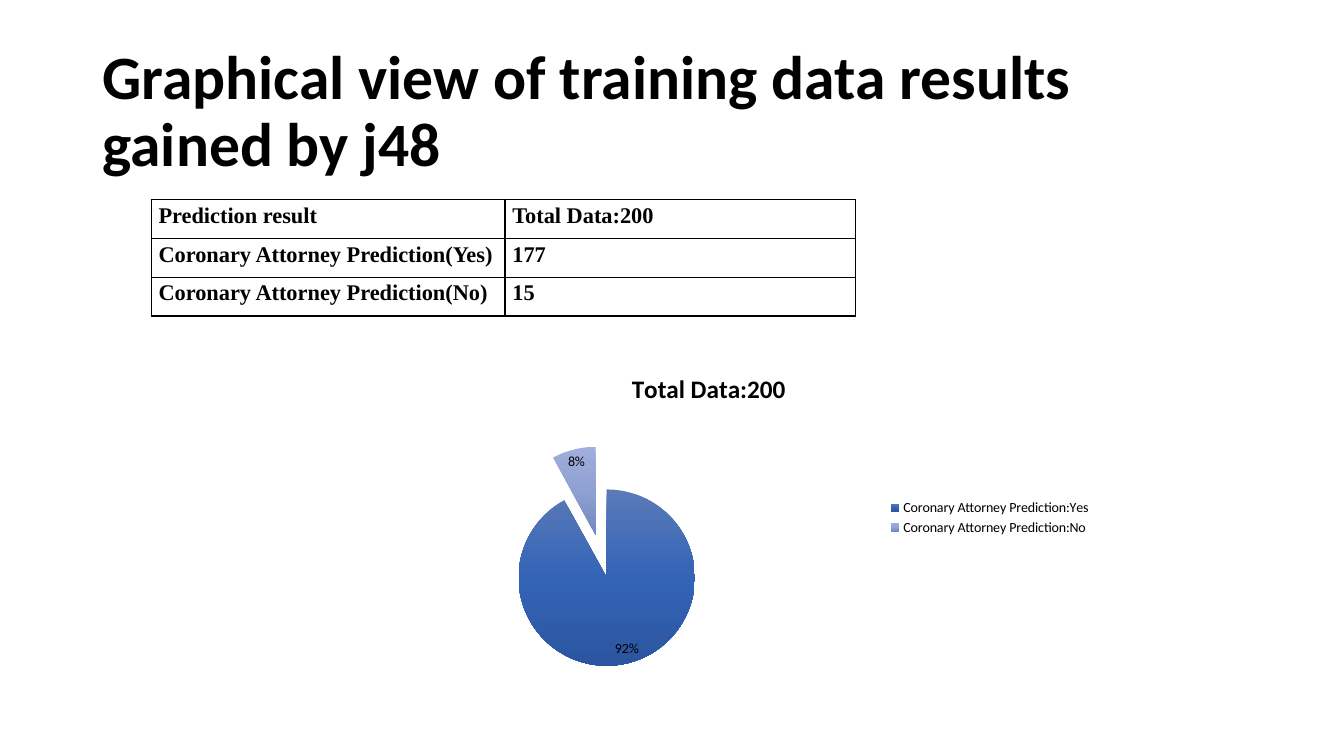
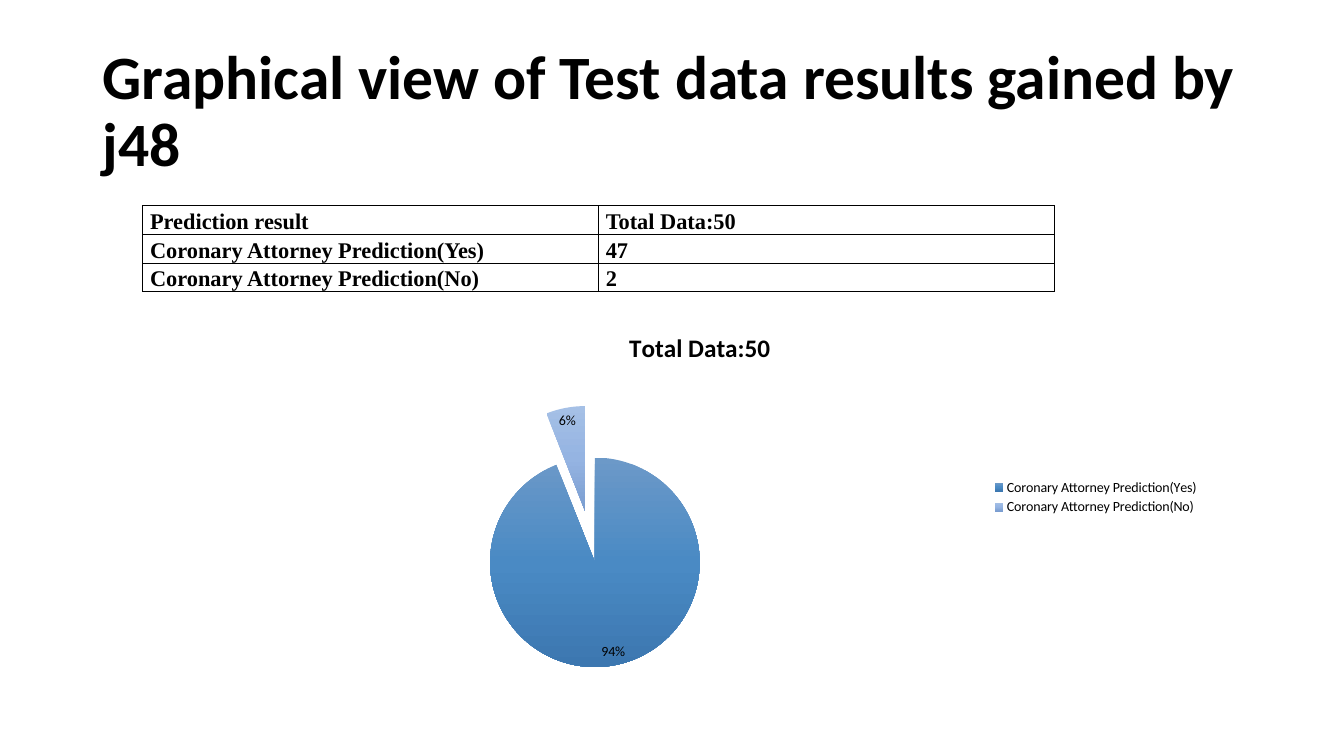
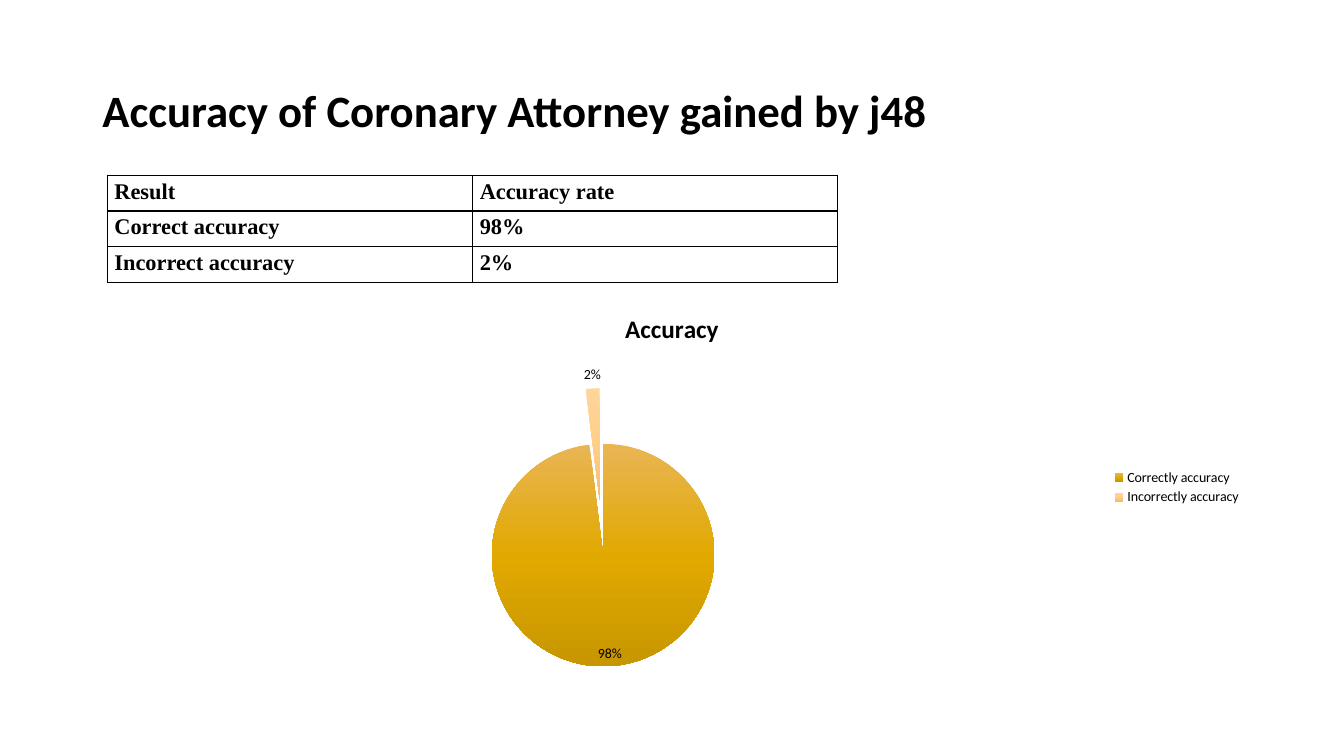
from copy import deepcopy as clone
from dataclasses import dataclass
from typing import Optional

from lxml.etree import SubElement as Sub
from pptx import Presentation as Deck
from pptx.chart.data import CategoryChartData as Data
from pptx.dml.color import RGBColor as Rgb
from pptx.enum.chart import XL_CHART_TYPE as Kind
from pptx.enum.chart import XL_LABEL_POSITION as Spot
from pptx.enum.chart import XL_LEGEND_POSITION as Side
from pptx.enum.text import MSO_ANCHOR as Anchor
from pptx.enum.text import MSO_AUTO_SIZE as Fit
from pptx.enum.text import PP_ALIGN as Align
from pptx.oxml.ns import qn
from pptx.util import Emu, Pt

SCALE = 9525


@dataclass(frozen=True)
class Theme:
    ink: str = "000000"
    sans: str = "Calibri"
    serif: str = "Times New Roman"
    head: int = 44
    small: int = 32
    cell: int = 16
    name: int = 18
    note: int = 10
    edge: int = 1
    burst: int = 25


@dataclass(frozen=True)
class Box:
    left: int
    top: int
    width: int
    height: int


@dataclass(frozen=True)
class Grid:
    left: int
    top: int
    cols: tuple[int, int]
    row: int
    cells: tuple[tuple[str, str], ...]


@dataclass(frozen=True)
class Slice:
    label: str
    value: int
    shades: tuple[str, str, str]


@dataclass(frozen=True)
class Pie:
    box: Box
    title: str
    cuts: tuple[Slice, ...]


@dataclass(frozen=True)
class Page:
    title: str
    size: int
    grid: Grid
    pie: Pie


THEME = Theme()
HEAD = Box(88, 38, 1104, 139)
YES, NO = "Coronary Attorney Prediction(Yes)", "Coronary Attorney Prediction(No)"

PAGES = (
    Page(
        "Graphical view of training data results gained by j48",
        THEME.head,
        Grid(144, 190, (337, 334), 37,
             (("Prediction result", "Total Data:200"), (YES, "177"), (NO, "15"))),
        Pie(Box(301, 338, 748, 310), "Total Data:200", (
            Slice("Coronary Attorney Prediction:Yes", 92, ("5B7AB8", "3464B6", "2B559F")),
            Slice("Coronary Attorney Prediction:No", 8, ("9FAEDB", "8FA0D2", "7388C0")),
        )),
    ),
    Page(
        "Graphical view of Test data results gained by j48",
        THEME.head,
        Grid(136, 196, (434, 434), 27,
             (("Prediction result", "Total Data:50"), (YES, "47"), (NO, "2"))),
        Pie(Box(181, 298, 971, 351), "Total Data:50", (
            Slice(YES, 94, ("6C99C8", "4A8AC4", "3C77B0")),
            Slice(NO, 6, ("A5C0E6", "95B4E2", "7A9DD0")),
        )),
    ),
    Page(
        "Accuracy of Coronary Attorney gained by j48",
        THEME.small,
        Grid(102, 167, (348, 348), 34,
             (("Result", "Accuracy rate"), ("Correct accuracy", "98%"),
              ("Incorrect accuracy", "2%"))),
        Pie(Box(88, 280, 1104, 368), "Accuracy", (
            Slice("Correctly accuracy", 98, ("E9B555", "E1A900", "C79600")),
            Slice("Incorrectly accuracy", 2, ("FFD599", "FFCF8A", "F0BE70")),
        )),
    ),
)


def px(count: int) -> Emu:
    return Emu(count * SCALE)


def place(box: Box) -> tuple[Emu, Emu, Emu, Emu]:
    return px(box.left), px(box.top), px(box.width), px(box.height)


def style(font, size: int, face: str, bold: bool) -> None:
    font.size, font.name, font.bold = Pt(size), face, bold
    font.color.rgb = Rgb.from_string(THEME.ink)


def write(frame, text: str, *, size: int, face: str = THEME.sans, bold: bool = True,
          align: Optional[Align] = None, space: Optional[float] = None) -> None:
    para = frame.paragraphs[0]
    para.alignment = align
    para.line_spacing = space
    run = para.add_run()
    run.text = text
    style(run.font, size, face, bold)


def add_head(slide, text: str, size: int) -> None:
    head = slide.shapes.title
    head.left, head.top, head.width, head.height = place(HEAD)
    frame = head.text_frame
    frame.word_wrap = True
    frame.auto_size = Fit.NONE
    frame.vertical_anchor = Anchor.MIDDLE
    write(frame, text, size=size, align=Align.LEFT, space=0.9)


def frame_cell(cell) -> None:
    props = cell._tc.get_or_add_tcPr()
    for side in ("L", "R", "T", "B"):
        line = Sub(props, qn(f"a:ln{side}"), w=str(Pt(THEME.edge)))
        fill = Sub(line, qn("a:solidFill"))
        Sub(fill, qn("a:srgbClr"), val=THEME.ink)
    cell.fill.background()


def add_grid(slide, grid: Grid) -> None:
    count = len(grid.cells)
    box = Box(grid.left, grid.top, sum(grid.cols), grid.row * count)
    table = slide.shapes.add_table(count, len(grid.cols), *place(box)).table
    table.first_row = table.horz_banding = False
    for col, width in zip(table.columns, grid.cols):
        col.width = px(width)
    for row, texts in zip(table.rows, grid.cells):
        row.height = px(grid.row)
        for cell, text in zip(row.cells, texts):
            cell.margin_left = cell.margin_right = px(7)
            cell.margin_top = cell.margin_bottom = 0
            write(cell.text_frame, text, size=THEME.cell, face=THEME.serif, space=1.15)
            frame_cell(cell)


def shade(point, node, shades: tuple[str, str, str]) -> None:
    fill = point.format.fill
    fill.gradient()
    fill.gradient_angle = 270
    stops = next(node.iter(qn("a:gsLst")))
    stops.insert(1, clone(stops[0]))
    for step, (stop, tone) in enumerate(zip(fill.gradient_stops, shades)):
        stop.position = step / (len(shades) - 1)
        stop.color.rgb = Rgb.from_string(tone)
    point.format.line.fill.background()


def add_pie(slide, pie: Pie) -> None:
    data = Data()
    data.categories = [cut.label for cut in pie.cuts]
    data.add_series("Series 1", [cut.value for cut in pie.cuts])
    chart = slide.shapes.add_chart(Kind.PIE, *place(pie.box), data).chart
    style(chart.font, THEME.note, THEME.sans, False)
    chart.has_title = True
    write(chart.chart_title.text_frame, pie.title, size=THEME.name)
    chart.chart_title.include_in_layout = False
    chart.has_legend = True
    chart.legend.position = Side.RIGHT
    chart.legend.include_in_layout = False

    plot = chart.plots[0]
    plot.vary_by_categories = True
    plot.has_data_labels = True
    labels = plot.data_labels
    labels.show_value = False
    labels.show_percentage = True
    labels.number_format = "0%"
    labels.number_format_is_linked = False
    labels.position = Spot.BEST_FIT

    series = plot.series[0]
    root = series._element
    burst = Sub(root, qn("c:explosion"), val=str(THEME.burst))
    root.find(qn("c:tx")).addnext(burst)
    for spot, cut in enumerate(pie.cuts):
        point = series.points[spot]
        point.format.fill.background()
        node = root.findall(qn("c:dPt"))[spot]
        shade(point, node, cut.shades)


def main() -> None:
    deck = Deck()
    deck.slide_width, deck.slide_height = px(1280), px(720)
    for page in PAGES:
        slide = deck.slides.add_slide(deck.slide_layouts[5])
        add_head(slide, page.title, page.size)
        add_pie(slide, page.pie)
        add_grid(slide, page.grid)
    deck.save("out.pptx")


if __name__ == "__main__":
    main()
